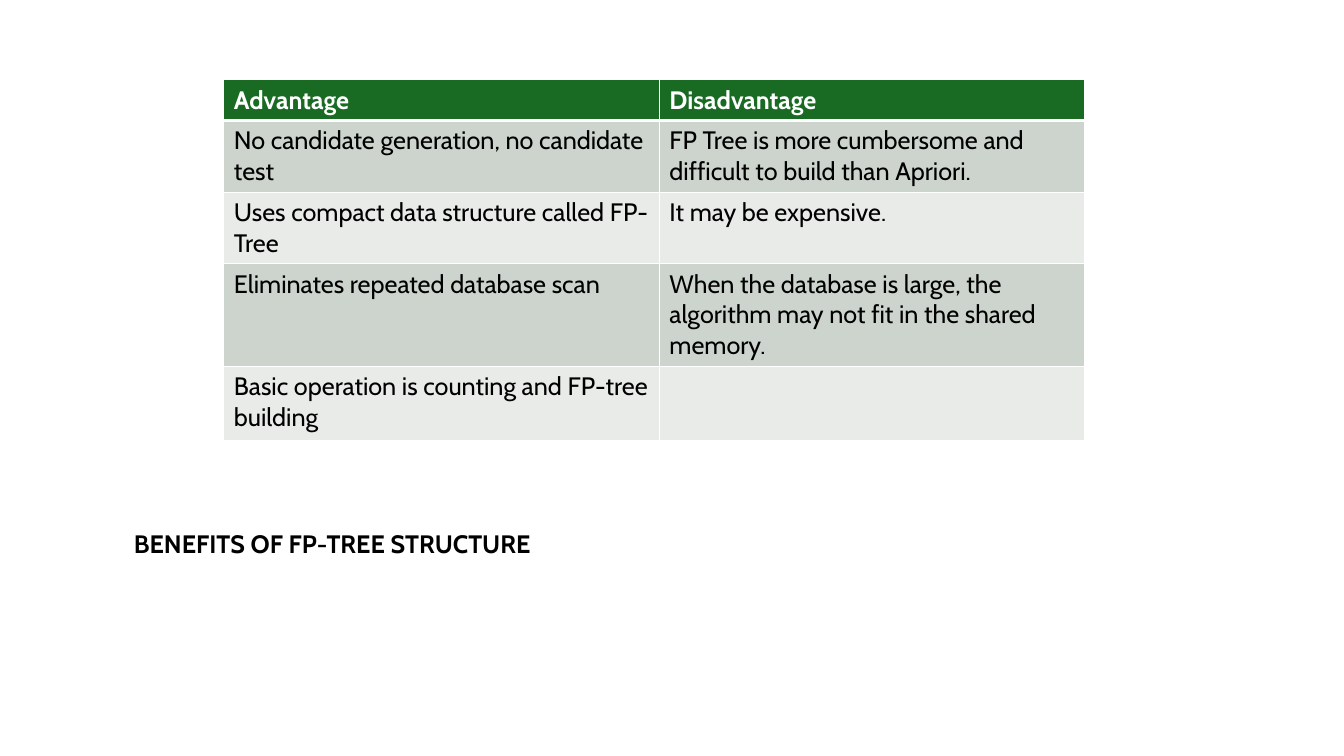
from pptx import Presentation
from pptx import util as u
from pptx.dml.color import RGBColor
from pptx.enum import text
from pptx.oxml import parse_xml
from pptx.oxml.ns import nsdecls

WHITE, BLACK, GREEN = "FFFFFF", "000000", "196B24"
BAND_FILLS = ["CCD4CD", "E8EBE8"]
COLUMN_WIDTHS = [4.32, 4.22]
ROW_HEIGHTS = [0.37, 0.61, 0.61, 0.91, 0.74]
ROWS = [
    ("Advantage", "Disadvantage"),
    ("No candidate generation, no candidate test",
     "FP Tree is more cumbersome and difficult to build than Apriori."),
    ("Uses compact data structure called FP-Tree", "It may be expensive."),
    ("Eliminates repeated database scan",
     "When the database is large, the algorithm may not fit in the shared memory."),
    ("Basic operation is counting and FP-tree building", ""),
]


def color(hex_value):
    return RGBColor.from_string(hex_value)


def write(paragraph, content, hex_value, bold):
    font_format = {"name": "Cabin", "size": u.Pt(18), "bold": bold}
    if content:
        paragraph.text = content
    for name, value in font_format.items():
        setattr(paragraph.font, name, value)
    paragraph.font.color.rgb = color(hex_value)


def add_borders(cell, widths):
    """Draw white cell borders; widths maps each side to points."""
    for side in "LRTB":
        cell._tc.get_or_add_tcPr().append(parse_xml(
            f'<a:ln{side} {nsdecls("a")} w="{u.Pt(widths[side])}">'
            f'<a:solidFill><a:srgbClr val="{WHITE}"/></a:solidFill></a:ln{side}>'))


def add_comparison_table(slide, left, top):
    frame = slide.shapes.add_table(
        len(ROWS), len(COLUMN_WIDTHS), u.Inches(left), u.Inches(top),
        u.Inches(sum(COLUMN_WIDTHS)), u.Inches(sum(ROW_HEIGHTS)))
    table = frame.table
    for column, width in zip(table.columns, COLUMN_WIDTHS):
        column.width = u.Inches(width)
    for index, (row, height, contents) in enumerate(zip(table.rows, ROW_HEIGHTS, ROWS)):
        row.height = u.Inches(height)
        header = index == 0
        widths = {"L": 1, "R": 1, "T": 3 if index == 1 else 1, "B": 3 if header else 1}
        for cell, content in zip(row.cells, contents):
            add_borders(cell, widths)
            cell.fill.solid()
            cell.fill.fore_color.rgb = color(GREEN if header else BAND_FILLS[(index - 1) % 2])
            write(cell.text_frame.paragraphs[0], content, WHITE if header else BLACK, header)


def add_heading(slide, content, left, top, width, height):
    box = slide.shapes.add_textbox(*map(u.Inches, (left, top, width, height)))
    box.text_frame.word_wrap = True
    box.text_frame.auto_size = text.MSO_AUTO_SIZE.SHAPE_TO_FIT_TEXT
    write(box.text_frame.paragraphs[0], content, BLACK, True)


def main():
    presentation = Presentation()
    presentation.slide_width = u.Inches(13.33)
    presentation.slide_height = u.Inches(7.5)
    slide = presentation.slides.add_slide(presentation.slide_layouts[6])
    add_comparison_table(slide, 2.22, 0.79)
    add_heading(slide, "BENEFITS OF FP-TREE STRUCTURE", 1.23, 5.19, 6.67, 0.4)
    presentation.save("out.pptx")


if __name__ == "__main__":
    main()
